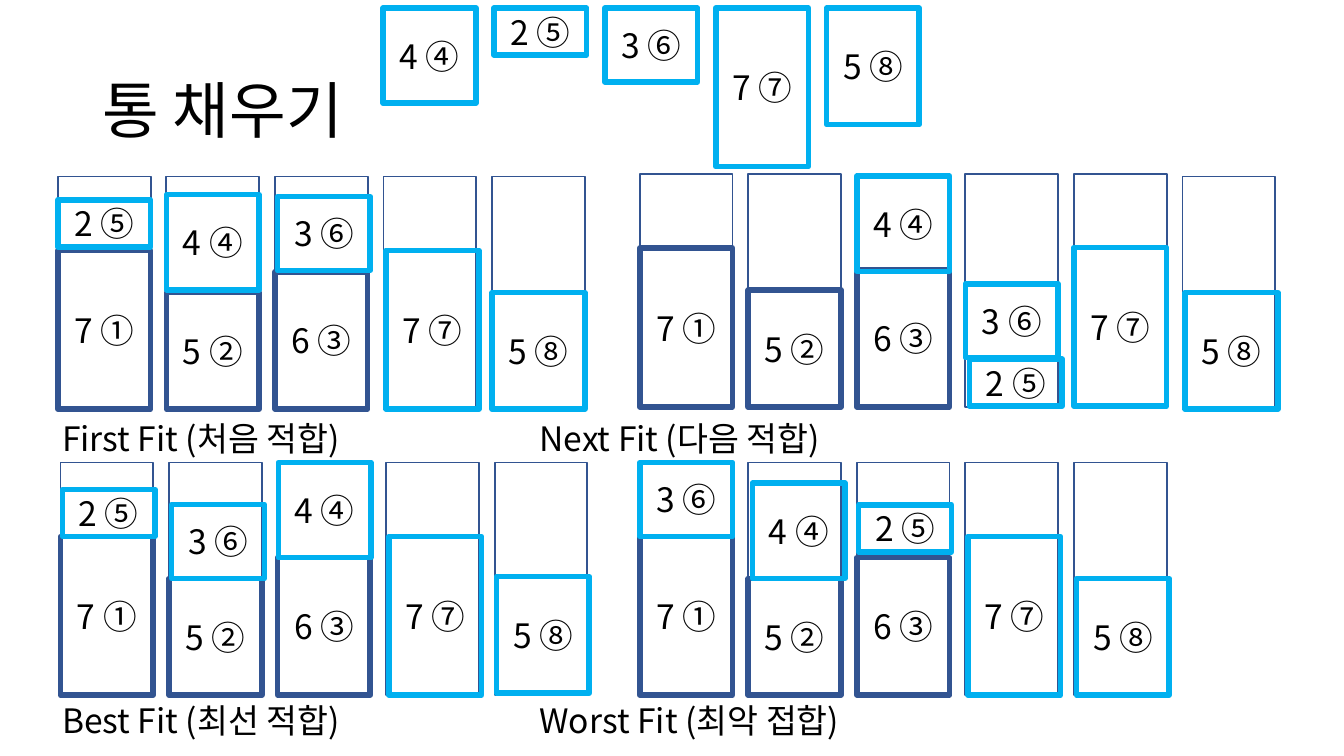
from pptx import Presentation
from pptx.dml.color import RGBColor
from pptx.enum import shapes, text
from pptx.util import Pt

FONT = "Noto Sans CJK KR"
NAVY, SKY, BLACK = "325491", "00B0F0", "000000"
TITLE = "통 채우기"

BIN_WIDTH, BIN_HEIGHT, BIN_PITCH = 49.7, 124.6, 58.15
ITEM_HEIGHTS = {2: 25.2, 3: 39.6, 4: 51, 5: 62.5, 6: 73.6, 7: 85}
CIRCLED = "①②③④⑤⑥⑦⑧"
SIZES = [7, 5, 6, 4, 2, 3, 7, 5]
PRELOADED = 3
QUEUE_LEFT, QUEUE_TOP, QUEUE_PITCH = 205.2, 4.3, 59.4

# Each bin lists its items from the bottom up: (item number, right nudge, down nudge)
PANELS = [
    {"label": "First Fit (처음 적합)", "label_at": (33.3, 221), "at": (31, 94.6),
     "bins": [[(1, 0, 0), (5, 0, -2)], [(2, 0, 0), (4, 0, -1.4)],
              [(3, 0, 0), (6, 1.4, -0.7)], [(7, 1.4, 0)], [(8, 0, 0)]]},
    {"label": "Next Fit (다음 적합)", "label_at": (289, 221), "at": (342.7, 93.4),
     "bins": [[(1, 0, 0), ], [(2, 0, 0)], [(3, 0, 0), (4, 0, 1)],
              [(5, 2.2, -0.4), (6, 0, -1.2)], [(7, 0, -0.4)], [(8, 1.4, 0)]],
     "last_bin_drop": 1.2},
    {"label": "Best Fit (최선 적합)", "label_at": (33.3, 372.5), "at": (32.4, 247.8),
     "bins": [[(1, 0, 0), (5, 1, 0)], [(2, 0, 0), (6, 1.4, 0)],
              [(3, 0, 0), (4, 0.4, 0)], [(7, 1.4, 0)], [(8, 1, -1)]]},
    {"label": "Worst Fit (최악 접합)", "label_at": (289, 372.5), "at": (342.7, 247.8),
     "bins": [[(1, 0, 0), (6, 0, 0)], [(2, 0, 0), (4, 2.2, 0)],
              [(3, 0, 0), (5, 1, -3.2)], [(7, 1.4, 0)], [(8, 1.4, 0)]]},
]


def color(value):
    """Return the colour for a hex string."""
    return RGBColor.from_string(value)


def write(shape, words, size, align=text.PP_ALIGN.LEFT):
    """Put one formatted, vertically centred line into a shape."""
    frame = shape.text_frame
    frame.text = words
    frame.vertical_anchor = text.MSO_ANCHOR.MIDDLE
    paragraph = frame.paragraphs[0]
    paragraph.alignment = align
    font = paragraph.runs[0].font
    font.name, font.size = FONT, Pt(size)
    font.color.rgb = color(BLACK)
    return paragraph


def add_box(slide, left, top, height, line, weight):
    """Draw an unfilled rectangle one bin wide."""
    box = slide.shapes.add_shape(shapes.MSO_SHAPE.RECTANGLE, Pt(left), Pt(top),
                                 Pt(BIN_WIDTH), Pt(height))
    box.shadow.inherit = False
    box.fill.background()
    box.line.color.rgb = color(line)
    box.line.width = Pt(weight)
    return box


def add_item(slide, number, left, top):
    """Draw an item with its size and number."""
    size = SIZES[number - 1]
    line = NAVY if number <= PRELOADED else SKY
    box = add_box(slide, left, top, ITEM_HEIGHTS[size], line, 3)
    write(box, f"{size} {CIRCLED[number - 1]}", 18, text.PP_ALIGN.CENTER)


def add_label(slide, words, left, top, width, height, size):
    """Add a text box without side insets."""
    box = slide.shapes.add_textbox(Pt(left), Pt(top), Pt(width), Pt(height))
    frame = box.text_frame
    frame.word_wrap = True
    frame.margin_left = frame.margin_right = 0
    frame.margin_top = frame.margin_bottom = 0
    return write(box, words, size)


def add_panel(slide, panel):
    """Draw one strategy: its bins, the items stacked in them and its label."""
    left, top = panel["at"]
    last = len(panel["bins"]) - 1
    for column, items in enumerate(panel["bins"]):
        x = left + column * BIN_PITCH
        y = top + (panel.get("last_bin_drop", 0) if column == last else 0)
        add_box(slide, x, y, BIN_HEIGHT, NAVY, 1)
        level = y + BIN_HEIGHT
        for number, right, down in items:
            level -= ITEM_HEIGHTS[SIZES[number - 1]]
            add_item(slide, number, x + right, level + down)
    add_label(slide, panel["label"], *panel["label_at"], 200, 27, 18)


presentation = Presentation()
presentation.slide_width, presentation.slide_height = Pt(720), Pt(405)
slide = presentation.slides.add_slide(presentation.slide_layouts[6])

title = add_label(slide, TITLE, 54.9, 21.6, 610, 78.5, 33)
title.line_spacing = 0.9
for panel in PANELS:
    add_panel(slide, panel)
for position, number in enumerate(range(PRELOADED + 1, len(SIZES) + 1)):
    add_item(slide, number, QUEUE_LEFT + position * QUEUE_PITCH, QUEUE_TOP)

presentation.save("out.pptx")
